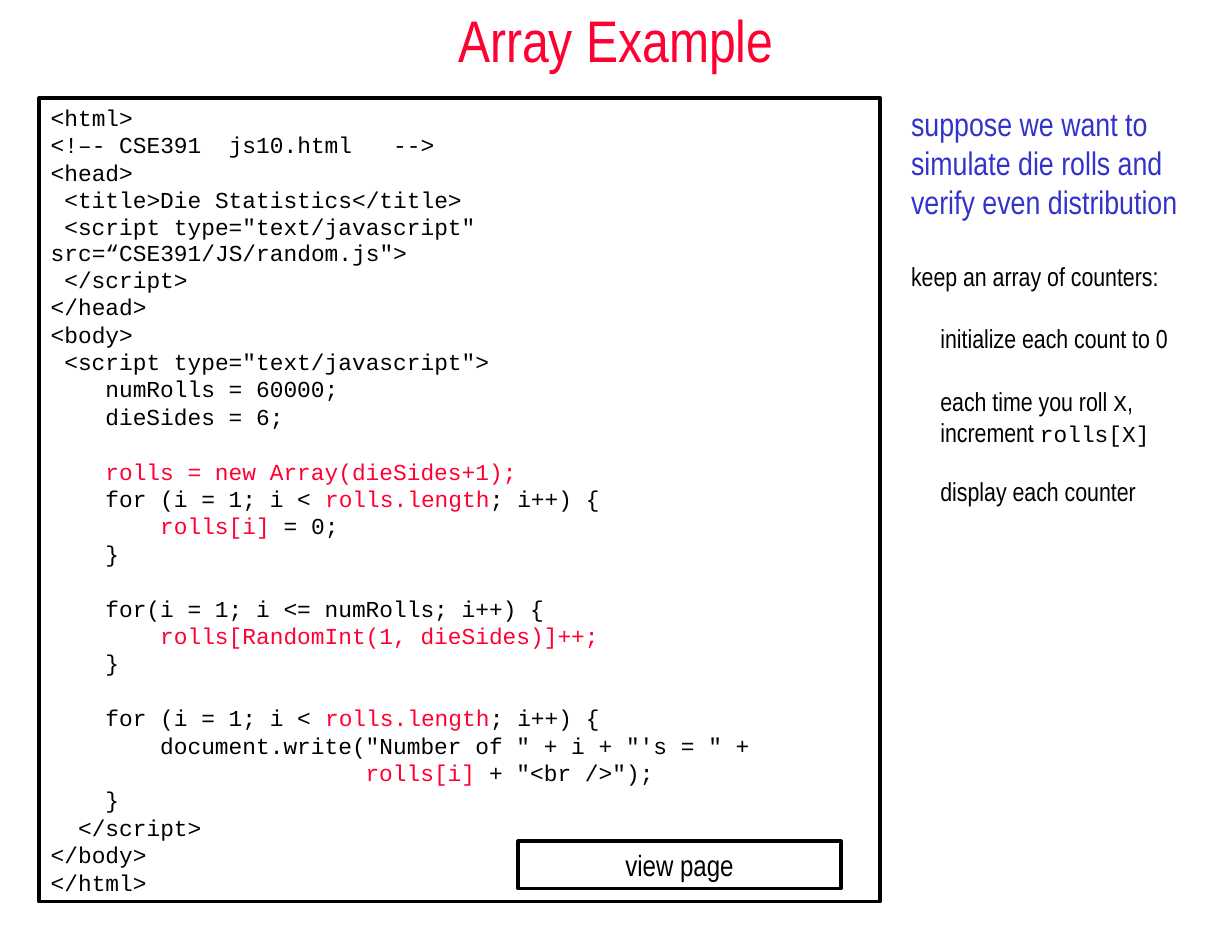
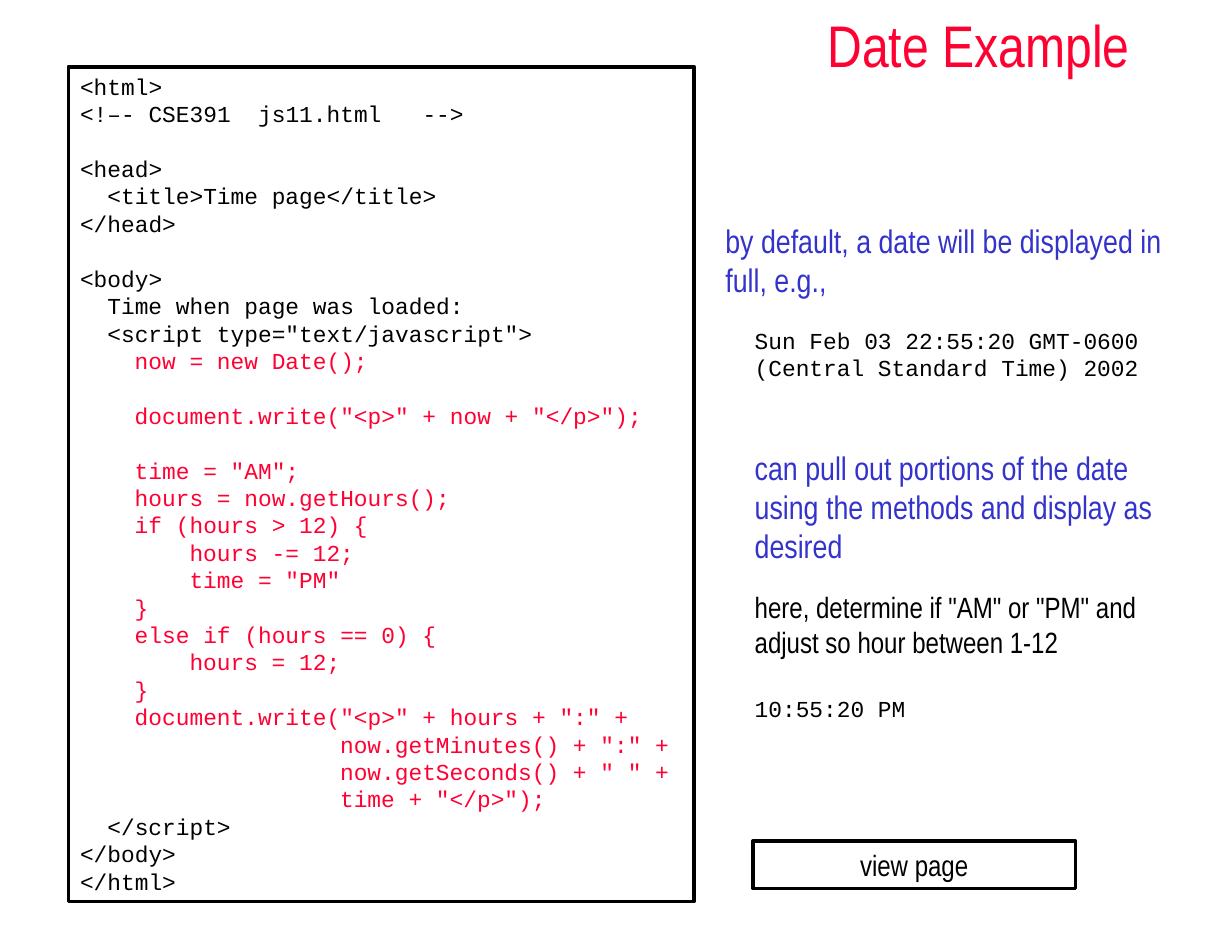
from dataclasses import dataclass

import pptx
import pptx.dml.color
import pptx.enum.shapes
import pptx.enum.text
import pptx.util

Pt = pptx.util.Pt
ALIGN = pptx.enum.text.PP_ALIGN
ANCHOR = pptx.enum.text.MSO_ANCHOR

COLORS = {"red": "FF0033", "blue": "3333CC", "black": "000000"}
NARROW, MONO = "Arial Narrow", "Courier New"
CODE_SIZE = 14
LINE_HEIGHT = 1.2 * CODE_SIZE
CHARACTER_WIDTH = 0.6 * CODE_SIZE
REMARK_INDENT = 18


@dataclass(frozen=True)
class Box:
    left: float
    top: float
    width: float
    height: float


@dataclass(frozen=True)
class Line:
    """One paragraph; backticks set off its marked pieces."""
    text: str
    size: float = 16
    color: str = "black"
    font: str = NARROW
    indent: float = 0
    before: float = 0
    spacing: float | None = None
    align: ALIGN = ALIGN.LEFT


@dataclass(frozen=True)
class ExampleSlide:
    title: str
    title_box: Box
    code: str
    code_box: Box
    remarks: list[Line]
    remarks_box: Box
    button_box: Box
    tight_line: str = ""


# Code listings: backticks mark the highlighted code
ARRAY_CODE = """\
<html>
<!–- CSE391  js10.html   -->
<head>
 <title>Die Statistics</title>
 <script type="text/javascript"
src=“CSE391/JS/random.js">
 </script>
</head>
<body>
 <script type="text/javascript">
    numRolls = 60000;
    dieSides = 6;

    `rolls = new Array(dieSides+1);`
    for (i = 1; i < `rolls.length`; i++) {
        `rolls[i]` = 0;
    }

    for(i = 1; i <= numRolls; i++) {
        `rolls[RandomInt(1, dieSides)]++;`
    }

    for (i = 1; i < `rolls.length`; i++) {
        document.write("Number of " + i + "'s = " +
                       `rolls[i]` + "<br />");
    }
  </script>
</body>
</html>"""

DATE_CODE = """\
<html>
<!–- CSE391  js11.html   -->

<head>
  <title>Time page</title>
</head>

<body>
  Time when page was loaded:
  <script type="text/javascript">
    `now = new Date();`

    `document.write("<p>" + now + "</p>");`

    `time = "AM";`
    `hours = now.getHours();`
    `if (hours > 12) {`
        `hours -= 12;`
        `time = "PM"`
    `}`
    `else if (hours == 0) {`
        `hours = 12;`
    `}`
    `document.write("<p>" + hours + ":" +`
                   `now.getMinutes() + ":" +`
                   `now.getSeconds() + " " +`
                   `time + "</p>");`
  </script>
</body>
</html>"""

# Remarks beside the code: backticks mark inline code
ARRAY_REMARKS = [
    Line("suppose we want to simulate die rolls and verify even distribution", 20, "blue"),
    Line("keep an array of counters:", before=24),
    Line("initialize each count to 0", indent=REMARK_INDENT, before=19.2),
    Line("each time you roll `X`, increment `rolls[X]`", indent=REMARK_INDENT, before=19.2),
    Line("display each counter", indent=REMARK_INDENT, before=16.8),
]
DATE_REMARKS = [
    Line("by default, a date will be displayed in full, e.g.,", 20, "blue"),
    Line("Sun Feb 03 22:55:20 GMT-0600 (Central Standard Time) 2002",
         CODE_SIZE, font=MONO, indent=REMARK_INDENT, before=16.8),
    Line("can pull out portions of the date using the methods and display as desired",
         20, "blue", indent=REMARK_INDENT, before=40.8),
    Line('here, determine if "AM" or "PM" and adjust so hour between 1-12',
         18, indent=REMARK_INDENT, before=14.4),
    Line("10:55:20 PM", CODE_SIZE, font=MONO, indent=REMARK_INDENT, before=21.6),
]

SLIDES = [
    ExampleSlide("Array Example", Box(0, 0, 756, 48),
                 ARRAY_CODE, Box(24, 60, 516, 493),
                 ARRAY_REMARKS, Box(552, 60, 186, 255),
                 Box(318, 516, 198, 29), tight_line="src="),
    ExampleSlide("Date Example", Box(445, 0, 311, 54),
                 DATE_CODE, Box(42, 41, 384, 512),
                 DATE_REMARKS, Box(438, 132, 300, 307.5),
                 Box(462, 516, 198, 29)),
]


def rgb(name: str) -> pptx.dml.color.RGBColor:
    return pptx.dml.color.RGBColor.from_string(COLORS[name])


def code_lines(code: str, tight_line: str) -> list[Line]:
    """Turn leading spaces into indents and empty lines into space before."""
    lines, before = [], 0.0
    for source in code.splitlines():
        text = source.lstrip()
        if not text:
            before += LINE_HEIGHT
            continue
        tight = bool(tight_line) and text.startswith(tight_line)
        lines.append(Line(text, CODE_SIZE, font=MONO,
                          indent=(len(source) - len(text)) * CHARACTER_WIDTH,
                          before=3.5 if tight else before,
                          spacing=0.7 if tight else None))
        before = 0.0
    return lines


def write_line(paragraph, line: Line) -> None:
    paragraph.alignment = line.align
    paragraph.space_before = Pt(line.before)
    if line.spacing:
        paragraph.line_spacing = line.spacing
    if line.indent:
        properties = paragraph._p.get_or_add_pPr()
        properties.set("marL", str(Pt(line.indent)))
        properties.set("indent", "0")

    pieces = [(text, index % 2 == 1) for index, text in enumerate(line.text.split("`")) if text]
    uniform = len(pieces) == 1
    for text, marked in pieces:
        run = paragraph.add_run()
        run.text = text
        in_code = line.font == MONO
        font = paragraph.font if uniform else run.font
        font.name = MONO if marked else line.font
        font.size = Pt(CODE_SIZE if marked else line.size)
        font.color.rgb = rgb("red" if marked and in_code else line.color)


def write_text(shape, lines: list[Line], anchor: ANCHOR = ANCHOR.TOP) -> None:
    frame = shape.text_frame
    frame.word_wrap = True
    frame.vertical_anchor = anchor
    for index, line in enumerate(lines):
        write_line(frame.add_paragraph() if index else frame.paragraphs[0], line)


def add_text(slide, box: Box, lines: list[Line], anchor: ANCHOR = ANCHOR.TOP) -> None:
    shape = slide.shapes.add_textbox(Pt(box.left), Pt(box.top), Pt(box.width), Pt(box.height))
    write_text(shape, lines, anchor)


def add_frame(slide, box: Box, lines: list[Line]) -> None:
    shape = slide.shapes.add_shape(pptx.enum.shapes.MSO_SHAPE.RECTANGLE,
                                   Pt(box.left), Pt(box.top), Pt(box.width), Pt(box.height))
    shape.shadow.inherit = False
    shape.fill.background()
    shape.line.color.rgb = rgb("black")
    shape.line.width = Pt(2.25)
    write_text(shape, lines)


def add_example(presentation, example: ExampleSlide) -> None:
    slide = presentation.slides.add_slide(presentation.slide_layouts[6])
    add_text(slide, example.title_box,
             [Line(example.title, 36, "red", align=ALIGN.CENTER)], ANCHOR.MIDDLE)
    add_frame(slide, example.code_box, code_lines(example.code, example.tight_line))
    add_text(slide, example.remarks_box, example.remarks)
    add_frame(slide, example.button_box, [Line("view page", 18, align=ALIGN.CENTER)])


def main() -> None:
    presentation = pptx.Presentation()
    presentation.slide_width = Pt(756)
    presentation.slide_height = Pt(576)
    for example in SLIDES:
        add_example(presentation, example)
    presentation.save("out.pptx")


if __name__ == "__main__":
    main()
